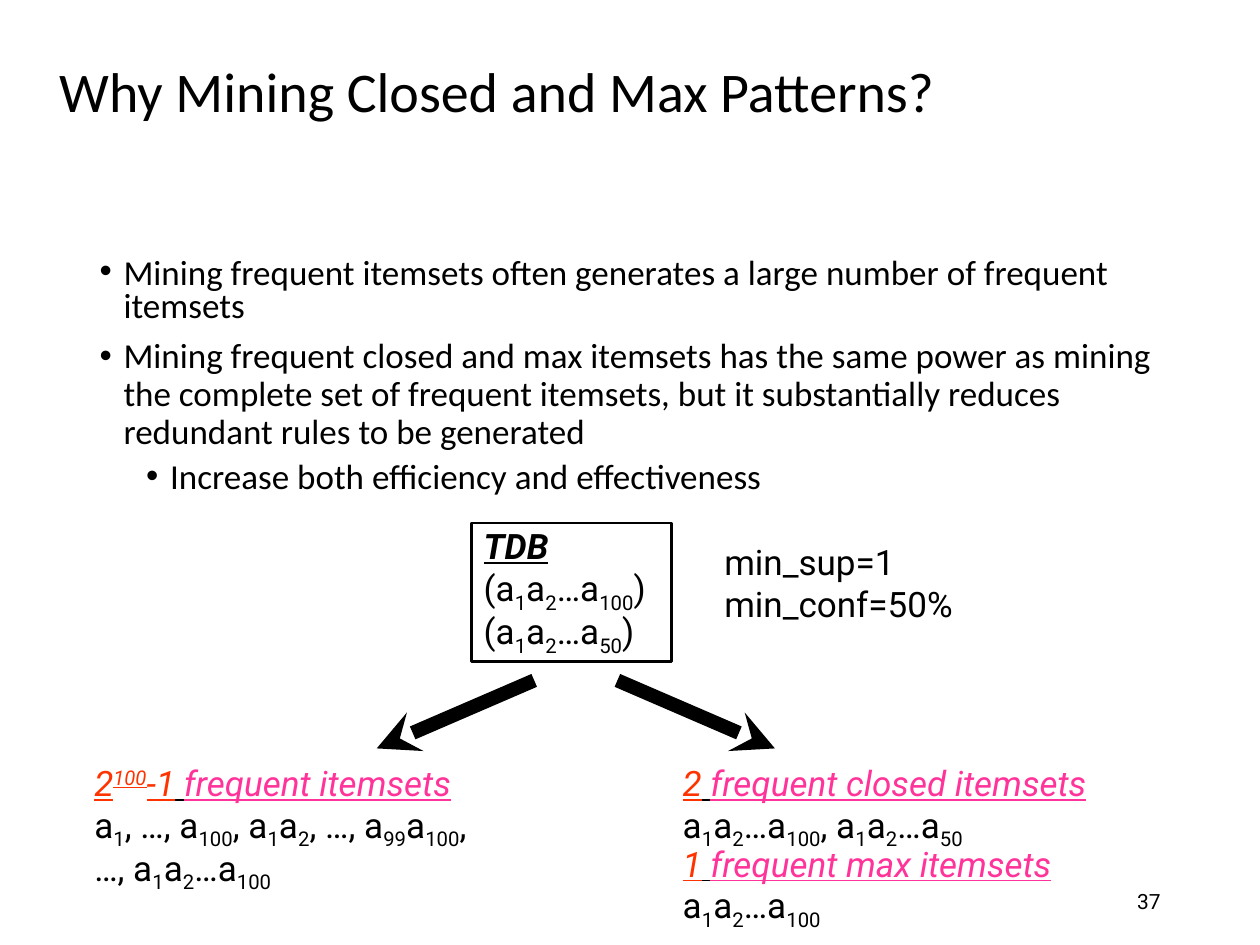
from lxml import etree
from pptx import Presentation
from pptx.dml.color import RGBColor
from pptx.enum.shapes import MSO_CONNECTOR, MSO_SHAPE
from pptx.enum.text import MSO_ANCHOR, MSO_AUTO_SIZE, PP_ALIGN
from pptx.oxml.ns import qn
from pptx.util import Inches, Pt

COLORS = {"ink": "000000", "count": "FF3300", "label": "FF3399"}
HEADING_FONT, DIAGRAM_FONT = "Calibri", "Roboto"
SUPERSCRIPT, SUBSCRIPT = 30, -25


def set_font(font, name, size, color="ink"):
    font.name, font.size = name, Pt(size)
    font.color.rgb = RGBColor.from_string(COLORS[color])


def add_span(para, text, color="ink", emphasis=False, bold=False, baseline=0):
    span = para.add_run()
    span.text = text
    set_font(span.font, DIAGRAM_FONT, 20, color)
    if emphasis:
        span.font.italic = span.font.underline = True
    if bold:
        span.font.bold = True
    if baseline:
        span._r.get_or_add_rPr().set("baseline", str(baseline * 1000))


def add_marked(para, text, shift=SUBSCRIPT, **style):
    """Write text in which every second part between bars is raised or lowered."""
    for index, part in enumerate(text.split("|")):
        if part:
            add_span(para, part, baseline=shift if index % 2 else 0, **style)


def write_lines(frame, lines, spacing=0.9):
    """Write formulas given as strings and headings given as (count, label)."""
    for index, line in enumerate(lines):
        para = frame.paragraphs[0] if index == 0 else frame.add_paragraph()
        para.line_spacing = spacing
        para.alignment = PP_ALIGN.LEFT
        if isinstance(line, tuple):
            count, label = line
            add_marked(para, count, SUPERSCRIPT, color="count", emphasis=True)
            add_span(para, " ", emphasis=True)
            add_span(para, label, "label", emphasis=True)
        elif line == "TDB":
            add_span(para, line, emphasis=True, bold=True)
        else:
            add_marked(para, line)


def place(shape, box):
    shape.left, shape.top, shape.width, shape.height = map(Inches, box)


def add_text(page, box, lines, wrap=False, spacing=0.9):
    frame = page.shapes.add_textbox(*map(Inches, box)).text_frame
    frame.word_wrap = wrap
    frame.auto_size = MSO_AUTO_SIZE.SHAPE_TO_FIT_TEXT
    write_lines(frame, lines, spacing)


def fill_title(title, box, text):
    place(title, box)
    frame = title.text_frame
    frame.text = text
    frame.auto_size = MSO_AUTO_SIZE.NONE
    frame.vertical_anchor = MSO_ANCHOR.MIDDLE
    para = frame.paragraphs[0]
    para.alignment, para.line_spacing = PP_ALIGN.LEFT, 0.9
    set_font(para.runs[0].font, HEADING_FONT, 32)


def add_bullet(para, left):
    props = para._p.get_or_add_pPr()
    props.set("marL", str(Inches(left)))
    props.set("indent", str(Inches(-0.19)))
    etree.SubElement(props, qn("a:buFont")).set("typeface", "Arial")
    etree.SubElement(props, qn("a:buChar")).set("char", "•")


def fill_body(body, box, items):
    """Fill the list with (text, level, line spacing, space before) items."""
    place(body, box)
    frame = body.text_frame
    frame.text = "\n".join(item[0] for item in items)
    frame.auto_size = MSO_AUTO_SIZE.NONE
    for para, (_, level, spacing, before) in zip(frame.paragraphs, items):
        add_bullet(para, 0.56 if level else 0.19)
        para.level = level
        para.line_spacing, para.space_before = spacing, Pt(before)
        set_font(para.runs[0].font, HEADING_FONT, 20)


def add_database(page, box, lines):
    database = page.shapes.add_shape(MSO_SHAPE.RECTANGLE, *map(Inches, box))
    database.shadow.inherit = False
    database.fill.background()
    database.line.color.rgb = RGBColor.from_string(COLORS["ink"])
    database.line.width = Pt(1.5)
    frame = database.text_frame
    frame.word_wrap = False
    frame.auto_size = MSO_AUTO_SIZE.SHAPE_TO_FIT_TEXT
    frame.vertical_anchor = MSO_ANCHOR.TOP
    write_lines(frame, lines)


def add_arrow(page, start, end):
    arrow = page.shapes.add_connector(MSO_CONNECTOR.STRAIGHT, *map(Inches, start + end))
    arrow.line.color.rgb = RGBColor.from_string(COLORS["ink"])
    arrow.line.width = Pt(8)
    etree.SubElement(arrow.line._get_or_add_ln(), qn("a:tailEnd")).set("type", "stealth")
    etree.SubElement(arrow._element.spPr, qn("a:effectLst"))


def add_diagram(page, left, top):
    """Draw the database, its thresholds and the patterns mined from it."""
    add_database(page, (left + 3.09, top, 1.59, 1.1),
                 ["TDB", "(a|1|a|2|…a|100|)", "(a|1|a|2|…a|50|)"])
    add_text(page, (left + 5, top + 0.09, 2.1, 0.82),
             ["min_sup=1", "min_conf=50%"], spacing=1.0)
    middle, arrow_top = left + 3.92, top + 1.25
    for side in (-1, 1):
        add_arrow(page, (middle + side * 0.33, arrow_top),
                  (middle + side * 1.58, arrow_top + 0.54))
    add_text(page, (left, top + 1.88, 3.63, 1.02),
             [("2|100|-1", "frequent itemsets"),
              "a|1|, …, a|100|, a|1|a|2|, …, a|99|a|100|,",
              "…, a|1|a|2|…a|100|"])
    add_text(page, (left + 4.67, top + 1.88, 4.09, 1.32),
             [("2", "frequent closed itemsets"),
              "a|1|a|2|…a|100|, a|1|a|2|…a|50|",
              ("1", "frequent max itemsets"),
              "a|1|a|2|…a|100|"], wrap=True)


def add_page_number(page, box, number):
    frame = page.shapes.add_textbox(*map(Inches, box)).text_frame
    frame.word_wrap = True
    frame.vertical_anchor = MSO_ANCHOR.MIDDLE
    frame.text = number
    para = frame.paragraphs[0]
    para.alignment = PP_ALIGN.RIGHT
    set_font(para.runs[0].font, DIAGRAM_FONT, 12)


def main():
    deck = Presentation()
    deck.slide_width, deck.slide_height = Inches(10), Inches(7.5)
    page = deck.slides.add_slide(deck.slide_layouts[1])
    fill_title(page.shapes.title, (0.37, 0.41, 9.67, 0.67),
               "Why Mining Closed and Max Patterns?")
    fill_body(page.placeholders[1], (0.69, 2, 8.62, 4.76), [
        ("Mining frequent itemsets often generates a large number of frequent itemsets",
         0, 0.8, 0),
        ("Mining frequent closed and max itemsets has the same power as mining "
         "the complete set of frequent itemsets, but it substantially reduces "
         "redundant rules to be generated", 0, 0.9, 7.5),
        ("Increase both efficiency and effectiveness", 1, 0.9, 3.8),
    ])
    add_diagram(page, 0.65, 4.15)
    add_page_number(page, (7.06, 6.95, 2.25, 0.4), "37")
    deck.save("out.pptx")


if __name__ == "__main__":
    main()
